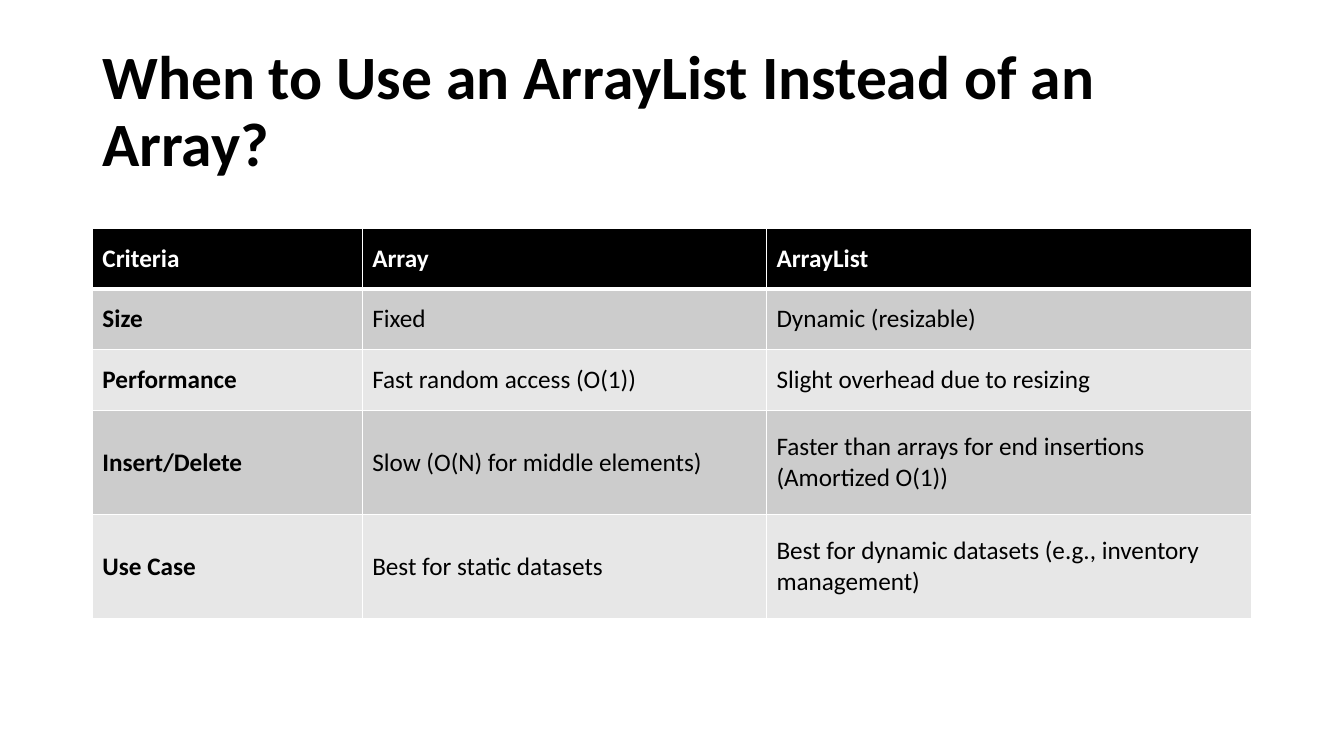
from lxml import etree
from pptx import Presentation
from pptx.dml.color import RGBColor
from pptx.enum.text import MSO_ANCHOR
from pptx.oxml.ns import qn
from pptx.util import Pt

PX = 9525
FONT = "Calibri"
MIDDLE = MSO_ANCHOR.MIDDLE
BLACK = RGBColor(0x00, 0x00, 0x00)
WHITE = RGBColor(0xFF, 0xFF, 0xFF)
DARK_BAND = RGBColor(0xCC, 0xCC, 0xCC)
LIGHT_BAND = RGBColor(0xE7, 0xE7, 0xE7)

COL_WIDTHS = [257, 385, 462]
ROW_HEIGHTS = [57, 58, 58, 99, 99]
ROWS = [
    ["Criteria", "Array", "ArrayList"],
    ["Size", "Fixed", "Dynamic (resizable)"],
    ["Performance", "Fast random access (O(1))", "Slight overhead due to resizing"],
    ["Insert/Delete", "Slow (O(N) for middle elements)",
     "Faster than arrays for end insertions (Amortized O(1))"],
    ["Use Case", "Best for static datasets",
     "Best for dynamic datasets (e.g., inventory management)"],
]


def px(*lengths):
    return [n * PX for n in lengths]


def write(tf, text, size=18, color=BLACK, bold=False, spacing=None):
    p = tf.paragraphs[0]
    p.line_spacing = spacing
    r = p.add_run()
    r.text = text
    r.font.name = FONT
    r.font.size = Pt(size)
    r.font.bold = bold
    r.font.color.rgb = color


def add_title(slide, text):
    tf = slide.shapes.add_textbox(*px(88, 38, 1104, 139)).text_frame
    tf.word_wrap = True
    tf.vertical_anchor = MIDDLE
    write(tf, text, size=44, bold=True, spacing=0.9)


def set_borders(cell, top, bottom):
    """Draw white cell borders; call before the fill, which must follow them in the XML."""
    tcPr = cell._tc.get_or_add_tcPr()
    for side, width in (("L", 1), ("R", 1), ("T", top), ("B", bottom)):
        ln = etree.SubElement(tcPr, qn(f"a:ln{side}"), w=str(Pt(width)))
        fill = etree.SubElement(ln, qn("a:solidFill"))
        etree.SubElement(fill, qn("a:srgbClr"), val=str(WHITE))


def add_comparison(slide):
    size = px(88, 218, sum(COL_WIDTHS), sum(ROW_HEIGHTS))
    table = slide.shapes.add_table(len(ROWS), len(COL_WIDTHS), *size).table
    for col, width in zip(table.columns, px(*COL_WIDTHS)):
        col.width = width
    for row, height in zip(table.rows, px(*ROW_HEIGHTS)):
        row.height = height
    for i, texts in enumerate(ROWS):
        header = i == 0
        band = BLACK if header else DARK_BAND if i % 2 else LIGHT_BAND
        for j, text in enumerate(texts):
            cell = table.cell(i, j)
            set_borders(cell, top=3 if i == 1 else 1, bottom=3 if header else 1)
            cell.fill.solid()
            cell.fill.fore_color.rgb = band
            cell.vertical_anchor = MIDDLE
            write(cell.text_frame, text, color=WHITE if header else BLACK,
                  bold=header or j == 0)


def main():
    prs = Presentation()
    prs.slide_width, prs.slide_height = px(1280, 720)
    slide = prs.slides.add_slide(prs.slide_layouts[6])
    add_title(slide, "When to Use an ArrayList Instead of an Array?")
    add_comparison(slide)
    prs.save("out.pptx")


if __name__ == "__main__":
    main()
